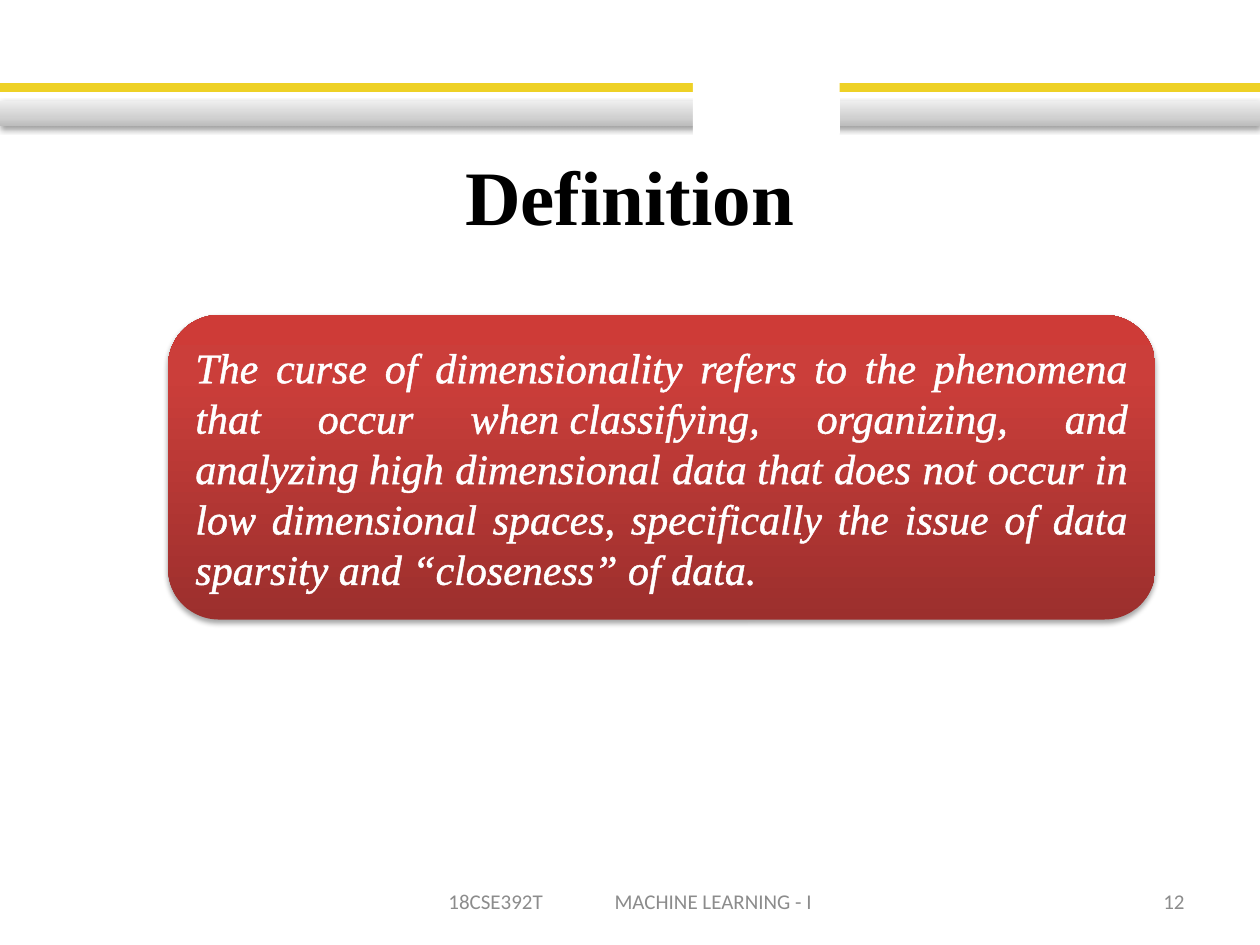
from lxml.etree import SubElement
from pptx import Presentation
from pptx.dml.color import RGBColor
from pptx.enum.shapes import MSO_SHAPE as Shape
from pptx.enum.text import MSO_ANCHOR as Anchor, PP_ALIGN as Align
from pptx.oxml.ns import qn
from pptx.util import Cm, Pt

# Content
TITLE = "Definition"
DEFINITION = (
    "The curse of dimensionality refers to the phenomena that occur "
    "when\u00a0classifying, organizing, and analyzing\u00a0high dimensional "
    "data\u00a0that does not occur in low dimensional spaces, specifically "
    "the issue of data sparsity and “closeness” of data."
)
FOOTER = "18CSE392T\tMACHINE LEARNING - I"
PAGE_NUMBER = "12"

COLORS = {"yellow": "EED126", "white": "FFFFFF", "black": "000000", "grey": "8C8C8C"}
GREY_STOPS = [(0, "BDBDBD"), (35, "D1D1D1"), (100, "EEEEEE")]
RED_STOPS = [(0, "9C2F2D"), (80, "CB3E3A"), (100, "CE3B37")]
SERIF, SANS = "Times New Roman", "Calibri"
WIDTH, HEIGHT = 25.4, 19.05


def color(name):
    return RGBColor.from_string(COLORS[name])


def add_block(slide, kind, box, fill=None, line=None):
    shape = slide.shapes.add_shape(kind, *map(Cm, box))
    shape.shadow.inherit = False
    if fill:
        shape.fill.solid()
        shape.fill.fore_color.rgb = color(fill)
    if line:
        shape.line.color.rgb = color(line)
        shape.line.width = Pt(2)
    else:
        shape.line.fill.background()
    return shape


def add_color(parent, value):
    return SubElement(parent, qn("a:srgbClr"), val=value)


def set_gradient(shape, stops):
    """Run the stops from the bottom edge to the top."""
    shape.fill.gradient()
    shape.fill.gradient_angle = 90
    stop_list = shape._element.spPr.find(".//" + qn("a:gsLst"))
    for stop in list(stop_list):
        stop_list.remove(stop)
    for position, value in stops:
        add_color(SubElement(stop_list, qn("a:gs"), pos=str(position * 1000)), value)


def add_shadow(shape, distance, opacity):
    effects = shape._element.spPr.find(qn("a:effectLst"))
    shadow = SubElement(effects, qn("a:outerShdw"), blurRad=str(Pt(3.1)),
                        dist=str(Pt(distance)), dir="5400000", rotWithShape="0")
    SubElement(add_color(shadow, COLORS["black"]), qn("a:alpha"), val=str(opacity * 1000))


def write(shape, text, font, size, ink, align, bold=False, italic=False):
    frame = shape.text_frame
    frame.word_wrap = True
    frame.vertical_anchor = Anchor.MIDDLE
    paragraph = frame.paragraphs[0]
    paragraph.add_run().text = text
    paragraph.alignment = align
    paragraph.font.name = font
    paragraph.font.size = Pt(size)
    paragraph.font.bold = bold
    paragraph.font.italic = italic
    paragraph.font.color.rgb = color(ink)
    return paragraph


def add_text(slide, box, *style, **options):
    return write(slide.shapes.add_textbox(*map(Cm, box)), *style, **options)


def add_tab(paragraph, position):
    properties = paragraph._p.get_or_add_pPr()
    tabs = SubElement(properties, qn("a:tabLst"))
    SubElement(tabs, qn("a:tab"), pos=str(Cm(position)), algn="l")
    properties.find(qn("a:defRPr")).addprevious(tabs)


def outline_text(paragraph, ink, width):
    properties = paragraph.runs[0]._r.get_or_add_rPr()
    line = SubElement(properties, qn("a:ln"), w=str(Pt(width)))
    add_color(SubElement(line, qn("a:solidFill")), COLORS[ink])


def main():
    presentation = Presentation()
    presentation.slide_width, presentation.slide_height = Cm(WIDTH), Cm(HEIGHT)
    slide = presentation.slides.add_slide(presentation.slide_layouts[6])

    # Header bands, with a white gap over them
    add_block(slide, Shape.RECTANGLE, (0, 1.7, WIDTH, 0.13), "yellow", "yellow")
    band = add_block(slide, Shape.RECTANGLE, (0, 2.03, WIDTH, 0.51))
    set_gradient(band, GREY_STOPS)
    add_shadow(band, 1.6, 38)
    add_block(slide, Shape.ROUNDED_RECTANGLE, (13.97, 1.27, 2.96, 1.7), "white")

    # Title
    add_text(slide, (1.27, 2.34, 22.86, 3.18), TITLE, SERIF, 44, "black",
             Align.CENTER, bold=True)

    # Footer
    footer = add_text(slide, (8.79, 17.65, 8.05, 1.02), FOOTER, SANS, 12, "grey", Align.LEFT)
    add_tab(footer, 3.35)
    add_text(slide, (18.2, 17.65, 5.93, 1.02), PAGE_NUMBER, SANS, 12, "grey", Align.RIGHT)

    # Definition card
    card = add_block(slide, Shape.ROUNDED_RECTANGLE, (3.39, 6.35, 19.9, 6.14))
    set_gradient(card, RED_STOPS)
    add_shadow(card, 1.8, 35)
    definition = write(card, DEFINITION, SERIF, 24, "white", Align.JUSTIFY, italic=True)
    outline_text(definition, "white", 1.45)

    presentation.save("out.pptx")


if __name__ == "__main__":
    main()
